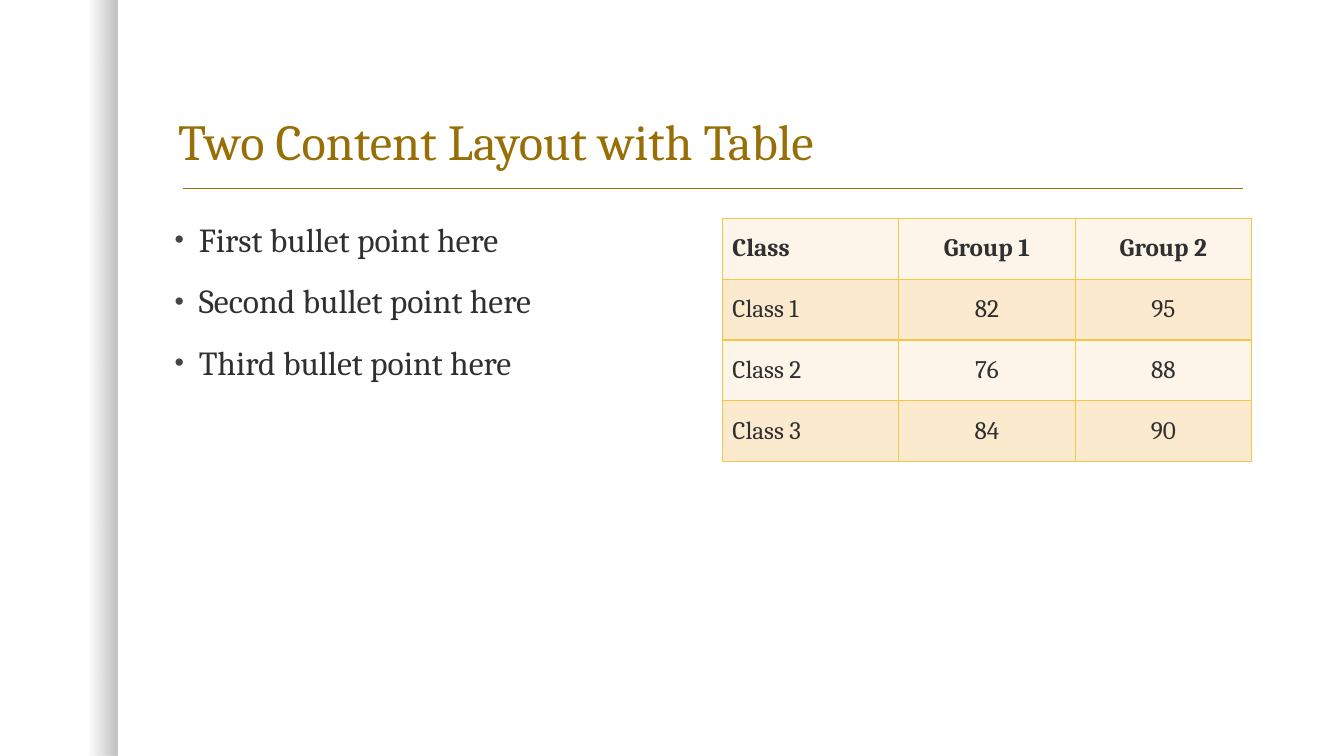
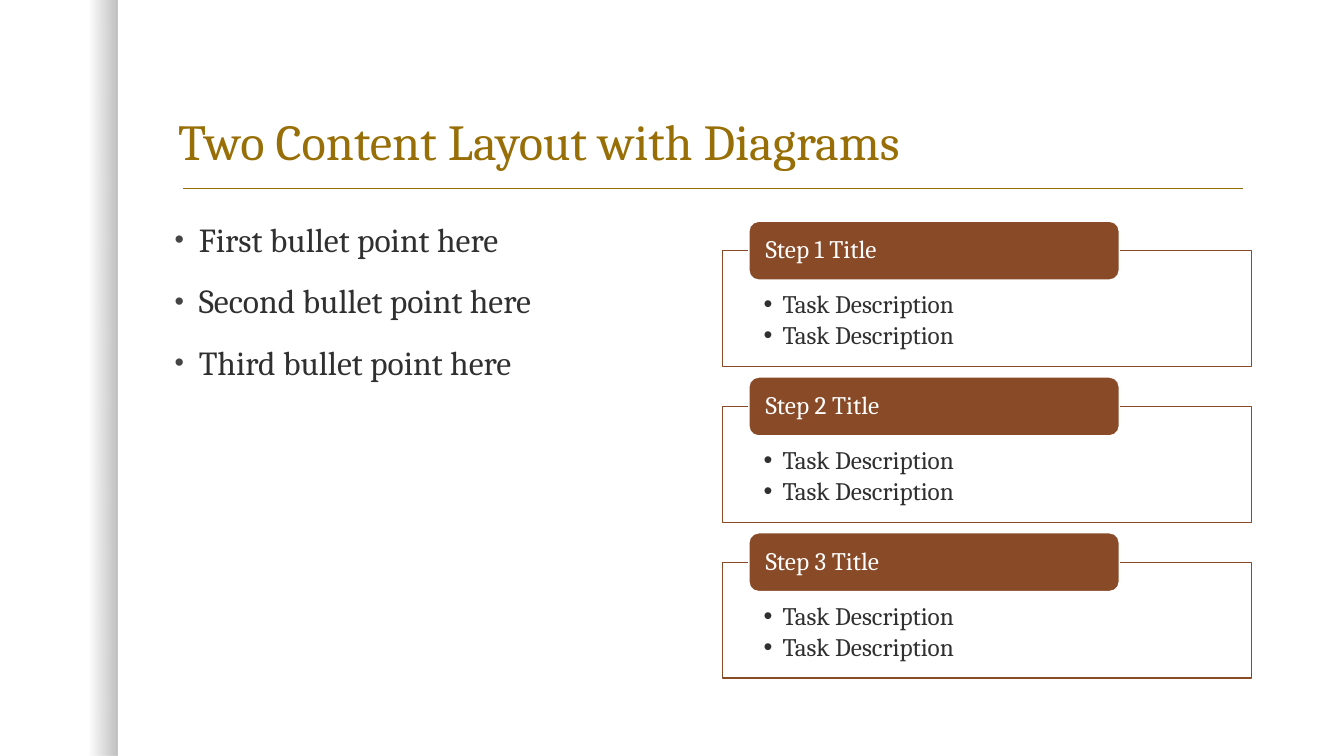
from dataclasses import dataclass

from lxml.etree import SubElement
from pptx import Presentation
from pptx.dml.color import RGBColor
from pptx.enum.shapes import MSO_CONNECTOR, MSO_SHAPE
from pptx.enum.text import MSO_ANCHOR, MSO_AUTO_SIZE, PP_ALIGN
from pptx.oxml.ns import qn
from pptx.util import Inches, Pt


@dataclass(frozen=True)
class Theme:
    font: str = "Cambria"
    gold: str = "986F07"
    ink: str = "303030"
    bullet: str = "454545"
    brown: str = "894A27"
    white: str = "FFFFFF"
    black: str = "000000"
    border: str = "F7C547"
    row_fills: tuple = ("FDF5E9", "FCEACF")
    title_size: int = 36
    body_size: int = 24
    detail_size: int = 18


theme = Theme()
color = RGBColor.from_string
COLUMNS, ROWS = 160, 90
UNIT = Inches(1) // 12


def grid(*cells):
    return [round(cell * UNIT) for cell in cells]


def write(frame, *lines, size=theme.detail_size, ink=theme.ink, bold=False,
          align=PP_ALIGN.LEFT, anchor=MSO_ANCHOR.TOP, insets=None,
          spacing=0.9, before=0, after=0, indent=0, bullet_color=None, bullet_size=100):
    frame.word_wrap = True
    frame.auto_size = MSO_AUTO_SIZE.NONE
    frame.vertical_anchor = anchor
    if insets:
        frame.margin_left, frame.margin_top, frame.margin_right, frame.margin_bottom = grid(*insets)
    for index, line in enumerate(lines):
        para = frame.add_paragraph() if index else frame.paragraphs[0]
        para.alignment = align
        para.line_spacing = spacing
        para.space_before = Pt(before if index else 0)
        para.space_after = Pt(after)
        if indent:
            properties = para._p.get_or_add_pPr()
            properties.set("marL", str(Inches(indent)))
            properties.set("indent", str(-Inches(indent)))
            holder = SubElement(properties, qn("a:buClr"))
            SubElement(holder, qn("a:srgbClr"), val=bullet_color or ink)
            SubElement(properties, qn("a:buSzPct"), val=str(bullet_size * 1000))
            SubElement(properties, qn("a:buFont"), typeface="Arial")
            SubElement(properties, qn("a:buChar"), char="•")
        span = para.add_run()
        span.text = line
        span.font.name = theme.font
        span.font.size = Pt(size)
        span.font.bold = bold
        span.font.color.rgb = color(ink)


deck = Presentation()
deck.slide_width, deck.slide_height = grid(COLUMNS, ROWS)
title_only = deck.slide_layouts[5]

CONTENT_TOP = 26
PANEL_LEFT, PANEL_WIDTH = 86, 63

pages = []
for heading in ("Two Content Layout with Table", "Two Content Layout with Diagrams"):
    page = deck.slides.add_slide(title_only)
    pages.append(page)

    band = page.shapes.add_shape(MSO_SHAPE.RECTANGLE, *grid(0, 0, 14, ROWS))
    band.shadow.inherit = False
    band.line.fill.background()
    band.fill.gradient()
    band.fill.gradient_angle = 0
    for stop, position in zip(band.fill.gradient_stops, (0.75, 1)):
        stop.color.rgb = color(theme.black)
        stop.position = position
    for shade, opacity in zip(band.element.iter(qn("a:srgbClr")), (0, 25)):
        SubElement(shade, qn("a:alpha"), val=str(opacity * 1000))

    rule = page.shapes.add_connector(MSO_CONNECTOR.STRAIGHT, *grid(21.75, 22.45, 148, 22.45))
    rule.line.color.rgb = color(theme.gold)
    rule.line.width = Pt(1)
    SubElement(rule.element.spPr, qn("a:effectLst"))

    title = page.shapes.title
    title.left, title.top, title.width, title.height = grid(20, 5, 129, 16)
    write(title.text_frame, heading, size=theme.title_size, ink=theme.gold,
          anchor=MSO_ANCHOR.BOTTOM)

    body = page.shapes.add_textbox(*grid(19.6, CONTENT_TOP, PANEL_WIDTH, 55))
    write(body.text_frame, "First bullet point here", "Second bullet point here",
          "Third bullet point here", size=theme.body_size, before=18, indent=0.24,
          bullet_color=theme.bullet, bullet_size=80)

table_page, steps_page = pages

records = (
    ("Class", "Group 1", "Group 2"),
    ("Class 1", "82", "95"),
    ("Class 2", "76", "88"),
    ("Class 3", "84", "90"),
)
table = table_page.shapes.add_table(
    len(records), len(records[0]),
    *grid(PANEL_LEFT, CONTENT_TOP, PANEL_WIDTH, 7.24 * len(records))).table
table.horz_banding = False
for row, record in enumerate(records):
    for column, value in enumerate(record):
        cell = table.cell(row, column)
        write(cell.text_frame, value, bold=row == 0, spacing=1,
              align=PP_ALIGN.CENTER if column else PP_ALIGN.LEFT)
        cell.vertical_anchor = MSO_ANCHOR.MIDDLE
        properties = cell._tc.get_or_add_tcPr()
        for edge in ("a:lnL", "a:lnR", "a:lnT", "a:lnB"):
            border = SubElement(properties, qn(edge), w=str(Pt(1)))
            SubElement(SubElement(border, qn("a:solidFill")), qn("a:srgbClr"), val=theme.border)
        cell.fill.solid()
        cell.fill.fore_color.rgb = color(theme.row_fills[row % 2])

STEP_PITCH, HEADER_HEIGHT = 18.54, 7
for step in range(3):
    top = 26.35 + step * STEP_PITCH
    box = steps_page.shapes.add_shape(
        MSO_SHAPE.RECTANGLE, *grid(PANEL_LEFT, top + HEADER_HEIGHT / 2, PANEL_WIDTH, 13.8))
    header = steps_page.shapes.add_shape(
        MSO_SHAPE.ROUNDED_RECTANGLE,
        *grid(PANEL_LEFT + 0.05 * PANEL_WIDTH, top, 0.7 * PANEL_WIDTH, HEADER_HEIGHT))
    for shape, fill, outline in ((box, theme.white, theme.brown),
                                 (header, theme.brown, theme.white)):
        shape.shadow.inherit = False
        shape.fill.solid()
        shape.fill.fore_color.rgb = color(fill)
        shape.line.color.rgb = color(outline)
        shape.line.width = Pt(1)
    SubElement(box.element.find(".//" + qn("a:srgbClr")), qn("a:alpha"), val="90000")
    write(box.text_frame, "Task Description", "Task Description",
          insets=(4.9, 4.9, 4.9, 1.7), after=2.7, indent=0.19)
    write(header.text_frame, f"Step {step + 1} Title", ink=theme.white,
          anchor=MSO_ANCHOR.MIDDLE, insets=(1.65, 0, 1.65, 0))

deck.save("out.pptx")
